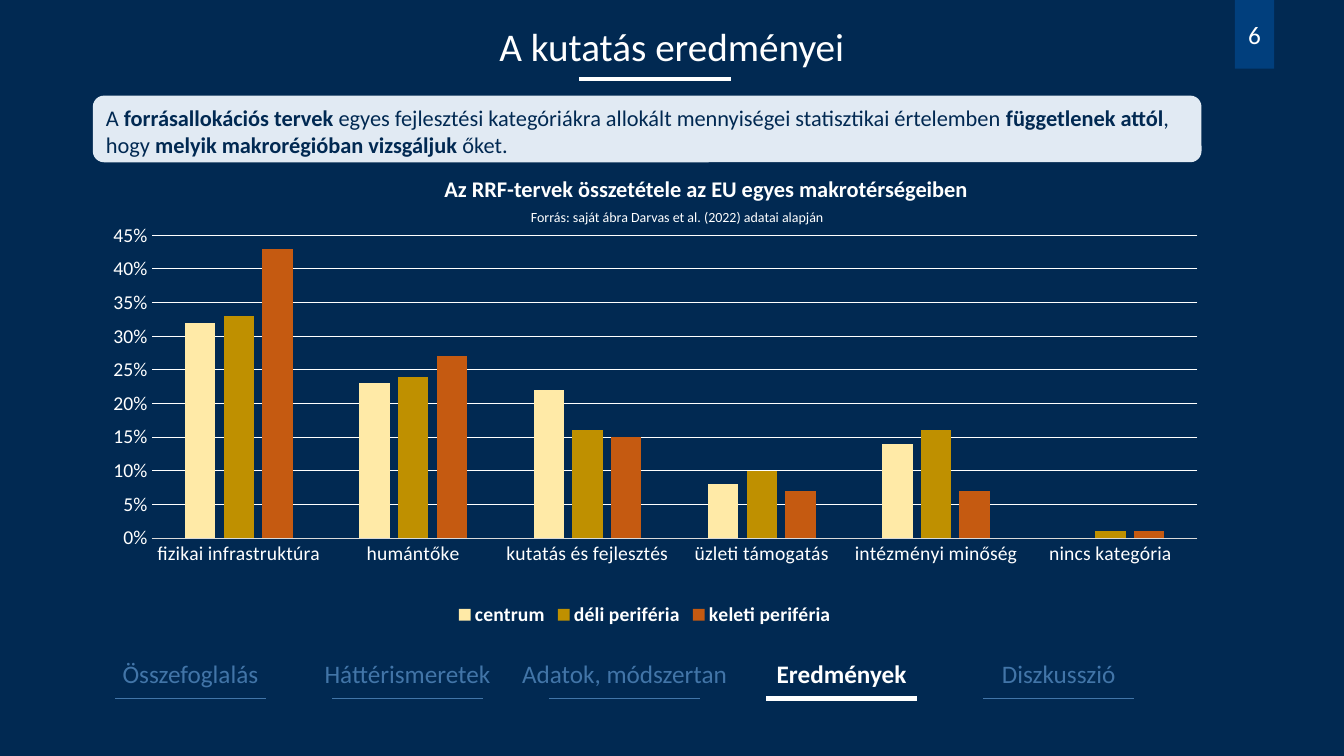
from lxml.etree import SubElement as Sub
from pptx import Presentation
from pptx.chart.data import CategoryChartData as Data
from pptx.dml.color import RGBColor as RGB
from pptx.enum.chart import XL_CHART_TYPE as Kind, XL_LEGEND_POSITION as Spot, XL_TICK_MARK as Tick
from pptx.enum.shapes import MSO_CONNECTOR as Wire, MSO_SHAPE as Form
from pptx.enum.text import MSO_ANCHOR as Anchor, MSO_AUTO_SIZE as Auto, PP_ALIGN as Align
from pptx.oxml import parse_xml
from pptx.oxml.ns import nsdecls, qn
from pptx.util import Cm, Pt

NAVY, BLUE, PALE, MUTED, WHITE = "012952", "013F7D", "E1EAF3", "4275A8", "FFFFFF"
TABS = [
    ("Összefoglalás", 4.93, 0.25),
    ("Háttérismeretek", 4.93, 0.25),
    ("Adatok, módszertan", 5.23, 0),
    ("Eredmények", 4.93, 0.25),
    ("Diszkusszió", 4.93, 0.25),
]
ACTIVE = "Eredmények"
CLAIM = [
    "A ", "forrásallokációs tervek ",
    "egyes fejlesztési kategóriákra allokált mennyiségei statisztikai értelemben ",
    "függetlenek attól", ", hogy ", "melyik makrorégióban vizsgáljuk ", "őket.",
]
CATS = ["fizikai infrastruktúra", "humántőke", "kutatás és fejlesztés",
        "üzleti támogatás", "intézményi minőség", "nincs kategória"]
ROWS = [
    ("centrum", "FFEAA7", (0.32, 0.23, 0.22, 0.08, 0.14, 0)),
    ("déli periféria", "BF9000", (0.33, 0.24, 0.16, 0.1, 0.16, 0.01)),
    ("keleti periféria", "C55A11", (0.43, 0.27, 0.15, 0.07, 0.07, 0.01)),
]


def put(obj, form):
    """Set each attribute named in a dict of format values."""
    for name, value in form.items():
        setattr(obj, name, value)


def paint(fill, hue):
    """Fill with a solid colour given as a hex string."""
    fill.solid()
    fill.fore_color.rgb = RGB.from_string(hue)


def style(font, size, hue, bold=False):
    """Format a font."""
    put(font, {"name": "Calibri", "size": Pt(size), "bold": bold})
    paint(font.fill, hue)


def write(frame, parts, size, hue, bold=False, align=Align.LEFT):
    """Write runs in one paragraph, every second one with weight flipped."""
    para = frame.paragraphs[0]
    para.alignment = align
    for i, part in enumerate(parts):
        run = para.add_run()
        run.text = part
        style(run.font, size, hue, bold != (i % 2 == 1))


def label(slide, box, text, size, hue, bold=False, align=Align.CENTER, pad=0.25):
    """Add a text box that grows with its text."""
    frame = slide.shapes.add_textbox(*map(Cm, box)).text_frame
    put(frame, {"word_wrap": True, "auto_size": Auto.SHAPE_TO_FIT_TEXT,
                "margin_left": Cm(pad), "margin_right": Cm(pad)})
    write(frame, [text], size, hue, bold, align)


def panel(slide, form, box, hue):
    """Add a flat filled shape and return its text frame."""
    shape = slide.shapes.add_shape(form, *map(Cm, box))
    shape.shadow.inherit = False
    shape.line.fill.background()
    paint(shape.fill, hue)
    shape.text_frame.word_wrap = True
    return shape.text_frame


def rule(slide, left, top, hue, width):
    """Add a horizontal line of the common length."""
    line = slide.shapes.add_connector(
        Wire.STRAIGHT, Cm(left), Cm(top), Cm(left + 3.81), Cm(top))
    paint(line.line.fill, hue)
    line.line.width = Pt(width)
    Sub(line._element.spPr, qn("a:effectLst"))


def place(chart, box):
    """Fix the inner plot area as fractions of the chart."""
    area = chart._chartSpace.chart.plotArea
    for old in area.findall(qn("c:layout")):
        area.remove(old)
    tags = [("layoutTarget", "inner"), ("xMode", "edge"), ("yMode", "edge"), *zip("xywh", box)]
    body = "".join(f'<c:{tag} val="{val}"/>' for tag, val in tags)
    area.insert(0, parse_xml(
        f'<c:layout {nsdecls("c")}><c:manualLayout>{body}</c:manualLayout></c:layout>'))


def graph(slide, box):
    """Add the clustered column chart."""
    data = Data(number_format="0%")
    data.categories = CATS
    for name, _, vals in ROWS:
        data.add_series(name, vals)
    chart = slide.shapes.add_chart(Kind.COLUMN_CLUSTERED, *map(Cm, box), data).chart
    style(chart.font, 10, "000000")
    put(chart, {"has_title": False, "has_legend": True})
    put(chart.legend, {"position": Spot.BOTTOM, "include_in_layout": False})
    style(chart.legend.font, 14, WHITE, True)
    plot = chart.plots[0]
    put(plot, {"gap_width": 219, "overlap": -27, "vary_by_categories": False})
    for series, (_, hue, _) in zip(plot.series, ROWS):
        paint(series.format.fill, hue)
    cat, val = chart.category_axis, chart.value_axis
    for axis in (cat, val):
        put(axis, {"major_tick_mark": Tick.NONE, "minor_tick_mark": Tick.NONE})
        style(axis.tick_labels.font, 14, WHITE)
    put(val, {"minimum_scale": 0, "maximum_scale": 0.45, "major_unit": 0.05,
              "has_major_gridlines": True})
    put(val.tick_labels, {"number_format": "0%", "number_format_is_linked": False})
    val.format.line.fill.background()
    for line, hue in ((cat.format.line, "D9D9D9"), (val.major_gridlines.format.line, WHITE)):
        paint(line.fill, hue)
        line.width = Pt(0.75)
    place(chart, (0.07, 0.045, 0.912, 0.731))


def tabs(slide):
    """Add the section bar with the current section marked."""
    for i, (text, wide, pad) in enumerate(TABS):
        mid = 4.8 + 5.47 * i
        on = text == ACTIVE
        hue = WHITE if on else MUTED
        label(slide, (mid - wide / 2, 16.46, wide, 1.02), text, 18, hue, on, pad=pad)
        rule(slide, mid - 1.9, 17.6, hue, 3 if on else 0.5)


def main():
    """Build and save the slide."""
    deck = Presentation()
    put(deck, {"slide_width": Cm(33.87), "slide_height": Cm(19.05)})
    slide = deck.slides.add_slide(deck.slide_layouts[6])
    paint(slide.background.fill, NAVY)
    page = panel(slide, Form.RECTANGLE, (31.12, 0, 0.99, 1.73), BLUE)
    put(page, {"vertical_anchor": Anchor.MIDDLE, "margin_left": 0, "margin_right": 0})
    write(page, ["6"], 18, WHITE, align=Align.CENTER)
    label(slide, (11.18, 0.43, 11.5, 1.45), "A kutatás eredményei", 28, WHITE)
    rule(slide, 14.6, 2, WHITE, 3)
    claim = panel(slide, Form.ROUNDED_RECTANGLE, (2.34, 2.41, 27.94, 1.68), PALE)
    claim.vertical_anchor = Anchor.TOP
    write(claim, CLAIM, 16, NAVY)
    tabs(slide)
    graph(slide, (1.8, 5.46, 28.9, 10.44))
    label(slide, (10.95, 4.29, 16.26, 0.94),
          "Az RRF-tervek összetétele az EU egyes makrotérségeiben", 16, WHITE, True, Align.LEFT)
    label(slide, (13.13, 5.13, 16.26, 0.68),
          "Forrás: saját ábra Darvas et al. (2022) adatai alapján", 10, WHITE, align=Align.LEFT)
    deck.save("out.pptx")


if __name__ == "__main__":
    main()
